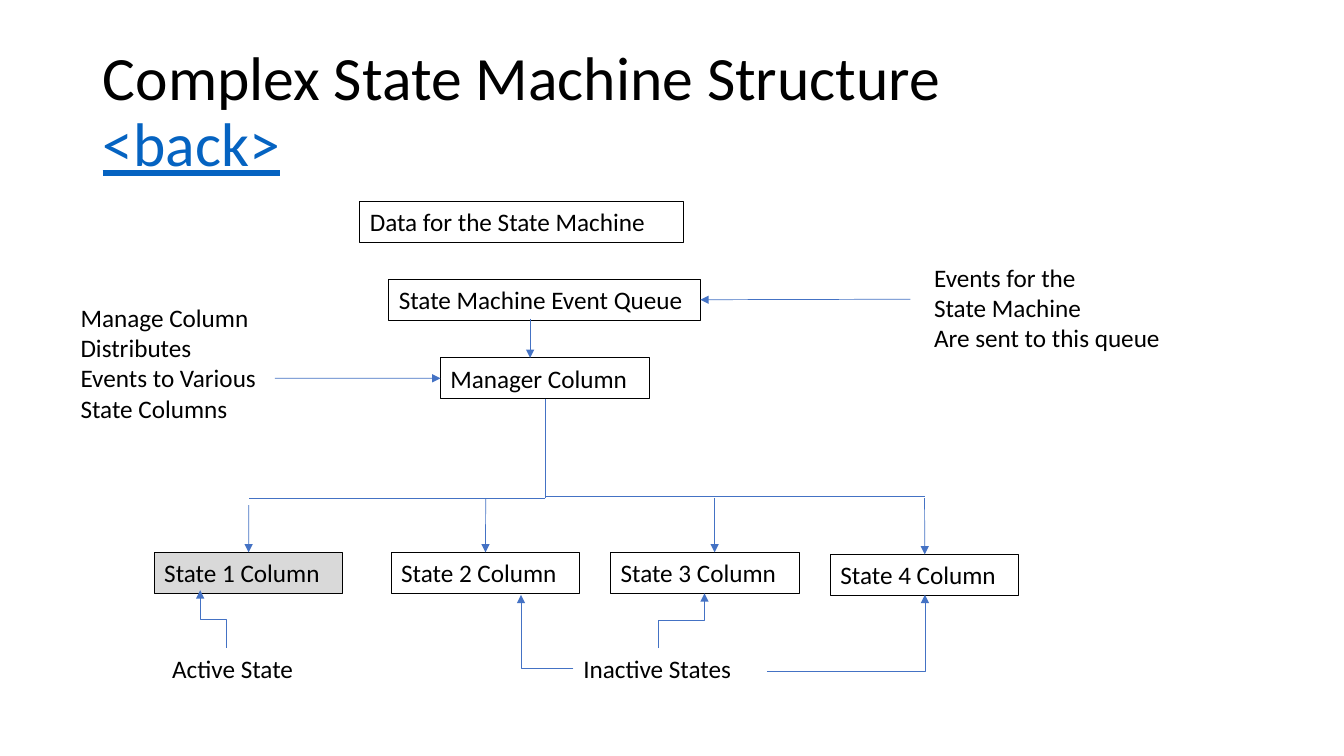
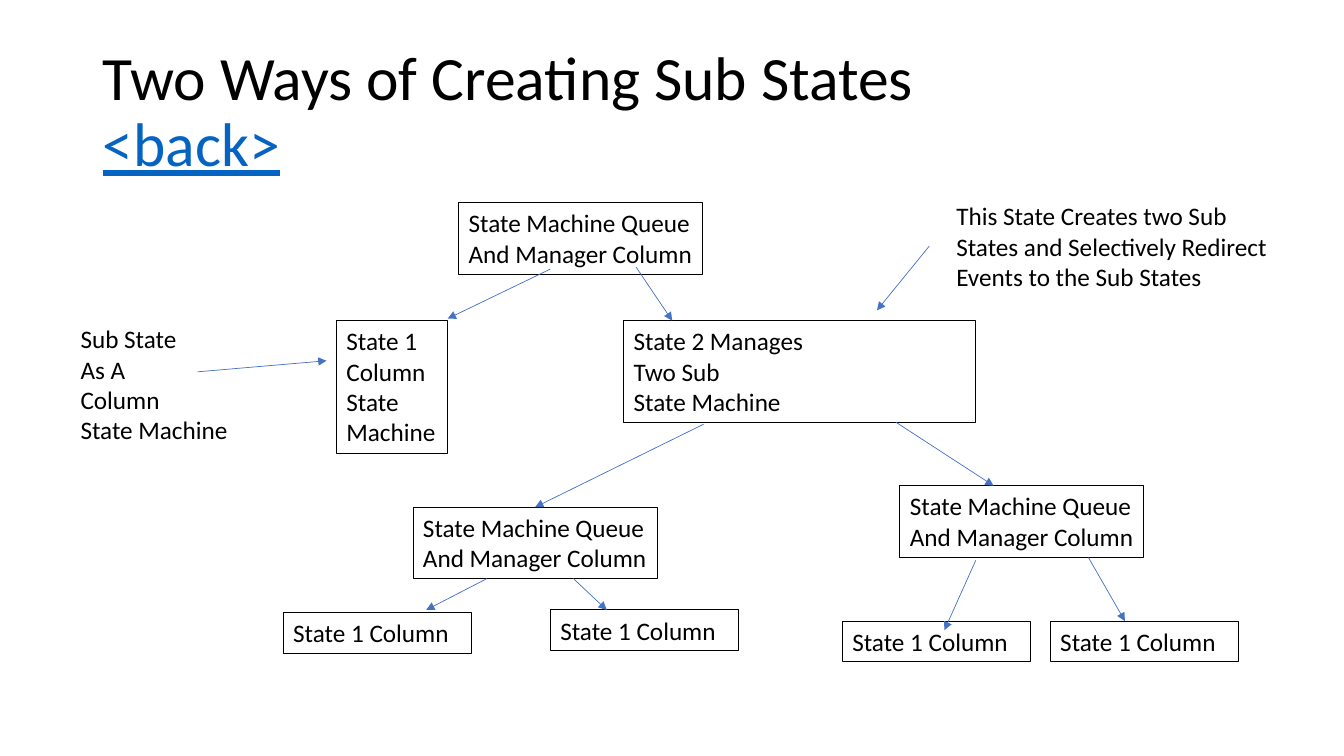
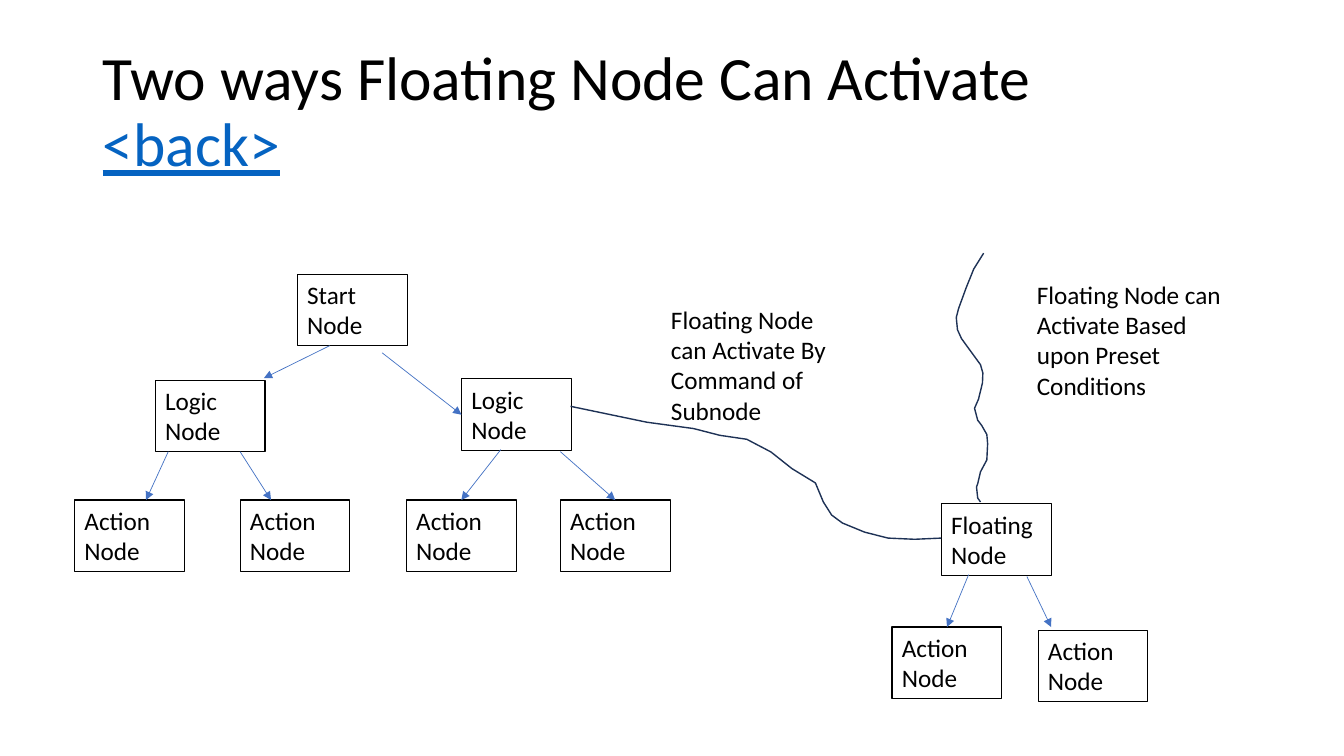
from dataclasses import dataclass

from lxml import etree
from pptx import Presentation
from pptx.dml.color import RGBColor
from pptx.enum.shapes import MSO_CONNECTOR, MSO_SHAPE
from pptx.enum.text import MSO_ANCHOR, MSO_AUTO_SIZE, PP_ALIGN
from pptx.oxml.ns import qn
from pptx.util import Cm, Pt

STRAIGHT, ELBOW = MSO_CONNECTOR.STRAIGHT, MSO_CONNECTOR.ELBOW
RECTANGLE = MSO_SHAPE.RECTANGLE
MIDDLE, TOP_ANCHOR = MSO_ANCHOR.MIDDLE, MSO_ANCHOR.TOP
GROW, LEFT_ALIGN = MSO_AUTO_SIZE.SHAPE_TO_FIT_TEXT, PP_ALIGN.LEFT
TOP, LEFT, BOTTOM, RIGHT = range(4)  # connection sites of a rectangle


@dataclass
class Theme:
    font: str = "Calibri"
    title_size: Pt = Pt(44)
    body_size: Pt = Pt(18)
    ink: RGBColor = RGBColor(0x00, 0x00, 0x00)
    link: RGBColor = RGBColor(0x05, 0x63, 0xC1)
    arrow: RGBColor = RGBColor(0x44, 0x72, 0xC4)
    curve: RGBColor = RGBColor(0x1E, 0x32, 0x56)
    active: RGBColor = RGBColor(0xD9, 0xD9, 0xD9)
    box_line: Pt = Pt(0.75)
    arrow_line: Pt = Pt(0.5)
    curve_line: Pt = Pt(1)


theme = Theme()


def add_text(page, left, top, width, lines, text, boxed=True, wrap=True):
    """Add a label whose height follows from its number of lines."""
    frame = Cm(left), Cm(top), Cm(width), Cm(0.25 + 0.775 * lines)
    if boxed:
        box = page.shapes.add_shape(RECTANGLE, *frame)
        box.shadow.inherit = False
        box.fill.background()
        box.line.color.rgb = theme.ink
        box.line.width = theme.box_line
    else:
        box = page.shapes.add_textbox(*frame)
    box.text_frame.text = text
    box.text_frame.word_wrap = wrap
    box.text_frame.auto_size = GROW
    box.text_frame.vertical_anchor = TOP_ANCHOR
    for para in box.text_frame.paragraphs:
        para.alignment = LEFT_ALIGN
        for span in para.runs:
            span.font.name = theme.font
            span.font.size = theme.body_size
            span.font.color.rgb = theme.ink
    return box


def add_line(page, boxes, start, end, arrow=True, kind=STRAIGHT):
    """Add a line; each end is a point (x, y) or a pair (box name, site)."""
    joins = [isinstance(place[0], str) for place in (start, end)]
    points = [(0, 0) if joined else place
              for joined, place in zip(joins, (start, end))]
    connector = page.shapes.add_connector(
        kind, *[Cm(length) for point in points for length in point])
    if joins[0]:
        connector.begin_connect(boxes[start[0]], start[1])
    if joins[1]:
        connector.end_connect(boxes[end[0]], end[1])
    connector.line.color.rgb = theme.arrow
    connector.line.width = theme.arrow_line
    properties = connector._element.spPr
    if arrow:
        etree.SubElement(properties.find(qn("a:ln")), qn("a:tailEnd"), type="triangle")
    etree.SubElement(properties, qn("a:effectLst"))
    return connector


# Pages with their titles
deck = Presentation()
deck.slide_width, deck.slide_height = Cm(33.87), Cm(19.05)
pages = []
for heading in ("Complex State Machine Structure",
                "Two Ways of Creating Sub States",
                "Two ways Floating Node Can Activate"):
    page = deck.slides.add_slide(deck.slide_layouts[6])
    title = page.shapes.add_textbox(Cm(2.34), Cm(1.02), Cm(29.21), Cm(3.68))
    title.text_frame.word_wrap = True
    title.text_frame.vertical_anchor = MIDDLE
    para = title.text_frame.paragraphs[0]
    para.text = heading + "\v<back>"
    para.line_spacing = 0.9
    for span, color in zip(para.runs, (theme.ink, theme.link)):
        span.font.name = theme.font
        span.font.size = theme.title_size
        span.font.color.rgb = color
    para.runs[1].font.underline = True
    pages.append(page)
structure_page, sub_state_page, floating_page = pages

# Slide 1: boxes
boxes = {}
for name, left, top, width, text in (
        ("data", 9.07, 5.08, 8.15, "Data for the State Machine"),
        ("queue", 9.8, 7.04, 7.85, "State Machine Event Queue"),
        ("manager", 11.1, 9.02, 5.28, "Manager Column"),
        ("state 1", 3.89, 13.92, 4.75, "State 1 Column"),
        ("state 2", 9.86, 13.92, 4.75, "State 2 Column"),
        ("state 3", 15.39, 13.92, 4.75, "State 3 Column"),
        ("state 4", 20.93, 13.97, 4.75, "State 4 Column")):
    boxes[name] = add_text(structure_page, left, top, width, 1, text)
boxes["state 1"].fill.solid()
boxes["state 1"].fill.fore_color.rgb = theme.active

# Slide 1: notes
add_text(structure_page, 23.29, 6.48, 6.32, 3,
         "Events for the\nState Machine\nAre sent to this queue", boxed=False)
add_text(structure_page, 1.78, 7.49, 5.38, 4,
         "Manage Column\nDistributes\nEvents to Various\nState Columns", boxed=False)
add_text(structure_page, 4.09, 16.33, 4.45, 1, "Active State", boxed=False)
add_text(structure_page, 14.45, 16.33, 4.27, 1, "Inactive States",
         boxed=False, wrap=False)

# Slide 1: plain branch lines, then arrows
for start, end in (
        (("manager", BOTTOM), (13.74, 12.55)),
        ((13.74, 12.5), (23.3, 12.5)),
        ((13.74, 12.55), (6.27, 12.55))):
    add_line(structure_page, boxes, start, end, arrow=False)
for start, end in (
        ((13.36, 8.03), (13.36, 9.02)),
        ((6.27, 12.73), ("state 1", TOP)),
        ((12.24, 12.55), ("state 2", TOP)),
        ((18.01, 12.55), (18.01, 13.92)),
        ((23.3, 12.55), ("state 4", TOP)),
        ((22.94, 7.54), ("queue", RIGHT)),
        ((6.93, 9.53), ("manager", LEFT))):
    add_line(structure_page, boxes, start, end)

# Slide 1: elbow arrows, placed before they are turned
for start, end, degrees, preset in (
        ((4.65, 15.93), (6.1, 15.27), 270, "bentConnector3"),
        ((13.13, 14.99), (14.45, 16.84), 180, "bentConnector2"),
        ((19.33, 16.92), (23.31, 14.99), 0, "bentConnector2"),
        ((17.86, 16.23), (16.48, 15.06), 90, "bentConnector3")):
    elbow = add_line(structure_page, boxes, start, end, kind=ELBOW)
    properties = elbow._element.spPr
    properties.find(qn("a:xfrm")).set("rot", str(degrees * 60000))
    properties.find(qn("a:prstGeom")).set("prst", preset)

# Slide 2: boxes
boxes = {}
for name, left, top in (("top queue", 11.56, 5.11),
                        ("left queue", 10.41, 12.78),
                        ("right queue", 22.68, 12.24)):
    boxes[name] = add_text(sub_state_page, left, top, 6.15, 2,
                           "State Machine Queue\nAnd Manager Column", wrap=False)
add_text(sub_state_page, 8.48, 8.08, 2.79, 4, "State 1\nColumn\nState\nMachine")
add_text(sub_state_page, 15.72, 8.08, 8.86, 3,
         "State 2 Manages\nTwo Sub\nState Machine")
for left, top in ((7.14, 15.44), (13.87, 15.37), (21.23, 15.65), (26.47, 15.65)):
    add_text(sub_state_page, left, top, 4.75, 1, "State 1 Column")

# Slide 2: notes
add_text(sub_state_page, 1.78, 8.03, 4.27, 4,
         "Sub State\nAs A\nColumn\nState Machine", boxed=False, wrap=False)
add_text(sub_state_page, 23.85, 4.93, 8.46, 3,
         "This State Creates two Sub States and Selectively Redirect "
         "Events to the Sub States", boxed=False)

# Slide 2: arrows
for start, end in (
        ((13.87, 6.78), (11.28, 8.03)),
        ((16.03, 6.73), (16.94, 8.08)),
        ((17.73, 10.69), ("left queue", TOP)),
        ((22.58, 10.64), (25.04, 12.24)),
        ((12.27, 14.58), (10.74, 15.37)),
        ((14.45, 14.58), (15.29, 15.37)),
        ((24.59, 14.12), (23.8, 15.88)),
        ((27.43, 14.05), (28.35, 15.65)),
        ((4.98, 9.37), (8.23, 9.09)),
        ((23.42, 6.2), (22.1, 7.82))):
    add_line(sub_state_page, boxes, start, end)

# Slide 3: nodes
boxes = {}
for name, left, top, text in (
        ("start", 7.49, 6.91, "Start Node"),
        ("left logic", 3.91, 9.58, "Logic\nNode"),
        ("right logic", 11.63, 9.55, "Logic Node"),
        ("action 1", 1.88, 12.6, "Action Node"),
        ("action 2", 6.05, 12.6, "Action Node"),
        ("action 3", 10.24, 12.6, "Action Node"),
        ("action 4", 14.12, 12.6, "Action Node"),
        ("floating", 23.72, 12.7, "Floating\nNode"),
        ("action 5", 22.48, 15.8, "Action Node"),
        ("action 6", 26.16, 15.88, "Action Node")):
    boxes[name] = add_text(floating_page, left, top, 2.77, 2, text)

# Slide 3: arrows
for start, end in (
        ((8.31, 8.71), (6.65, 9.53)),
        ((9.63, 8.89), ("right logic", LEFT)),
        ((4.24, 11.38), (3.68, 12.6)),
        ((6.05, 11.38), (6.83, 12.6)),
        ((12.62, 11.33), ("action 3", TOP)),
        ((14.12, 11.38), ("action 4", TOP)),
        ((24.41, 14.48), ("action 5", TOP)),
        ((25.88, 14.53), (26.49, 15.8))):
    add_line(floating_page, boxes, start, end)

# Slide 3: hand-drawn activation paths
command_path = (
    (14.38, 10.24), (16.3, 10.64), (17.48, 10.8), (18.14, 10.97), (18.82, 11.07),
    (19.43, 11.39), (19.96, 11.81), (20.55, 12.17), (20.75, 12.65), (20.96, 12.98),
    (21.23, 13.18), (21.79, 13.41), (22.38, 13.56), (23.05, 13.59), (23.72, 13.56))
condition_path = (
    (24.79, 6.38), (24.54, 6.78), (24.35, 7.25), (24.16, 7.77), (24.1, 8),
    (24.13, 8.31), (24.23, 8.53), (24.36, 8.71), (24.71, 9.19), (24.77, 9.4),
    (24.76, 9.65), (24.66, 10.06), (24.56, 10.29), (24.64, 10.59), (24.74, 10.72),
    (24.87, 10.95), (24.89, 11.18), (24.87, 11.59), (24.71, 11.89), (24.64, 12.19),
    (24.61, 12.27), (24.64, 12.55), (24.71, 12.65))
for points in (command_path, condition_path):
    corners = [(Cm(x), Cm(y)) for x, y in points]
    builder = floating_page.shapes.build_freeform(*corners[0])
    builder.add_line_segments(corners[1:], close=False)
    curve = builder.convert_to_shape()
    curve.shadow.inherit = False
    curve.fill.background()
    curve.line.color.rgb = theme.curve
    curve.line.width = theme.curve_line

# Slide 3: notes
add_text(floating_page, 25.88, 6.91, 5.44, 4,
         "Floating Node can Activate Based upon Preset Conditions", boxed=False)
add_text(floating_page, 16.66, 7.54, 4.78, 4,
         "Floating Node can Activate By Command of Subnode", boxed=False)

deck.save("out.pptx")
